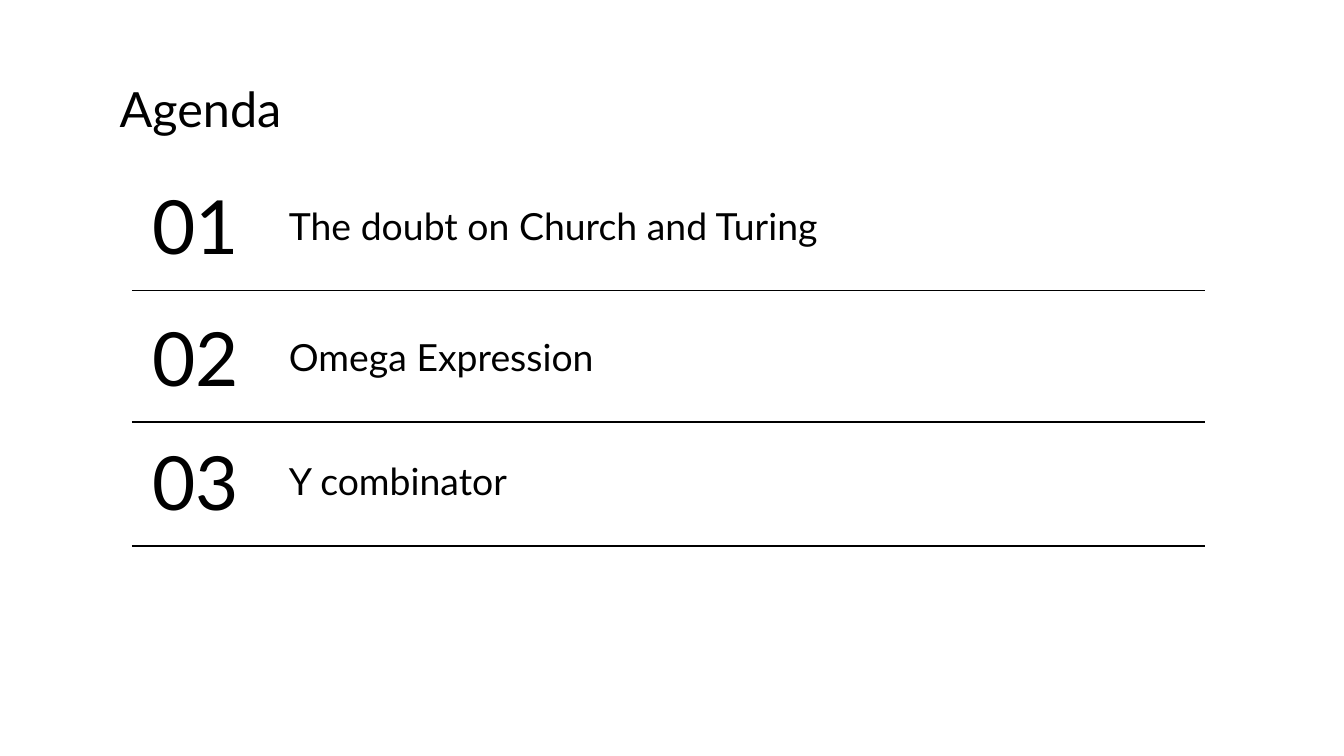
from lxml import etree
from pptx import Presentation
from pptx.dml.color import RGBColor
from pptx.enum.shapes import MSO_CONNECTOR
from pptx.enum.text import MSO_ANCHOR, PP_ALIGN
from pptx.oxml.ns import qn
from pptx.util import Cm, Pt

LEFT, CENTER = PP_ALIGN.LEFT, PP_ALIGN.CENTER
TOP, MIDDLE = MSO_ANCHOR.TOP, MSO_ANCHOR.MIDDLE
STRAIGHT = MSO_CONNECTOR.STRAIGHT

COLORS = {"background": "FFFFFF", "ink": "000000"}

# Each agenda item: top of its number box in cm, and its label
ITEMS = [
    (3.2, "The doubt on Church and Turing"),
    (5.69, "Omega Expression"),
    (8.03, "Y combinator"),
]


class AgendaPage:
    font = "Lato"
    inset = Cm(0.25)

    def __init__(self, deck):
        self.page = deck.slides.add_slide(deck.slide_layouts[6])
        fill = self.page.background.fill
        fill.solid()
        fill.fore_color.rgb = RGBColor.from_string(COLORS["background"])

    def text(self, words, left, top, width, height, size, align=LEFT, anchor=MIDDLE):
        box = self.page.shapes.add_textbox(Cm(left), Cm(top), Cm(width), Cm(height))
        frame = box.text_frame
        frame.word_wrap = True
        frame.vertical_anchor = anchor
        frame.margin_left = frame.margin_right = self.inset
        frame.margin_top = frame.margin_bottom = self.inset
        para = frame.paragraphs[0]
        para.text = words
        para.alignment = align
        para.font.name = self.font
        para.font.size = Pt(size)
        para.font.color.rgb = RGBColor.from_string(COLORS["ink"])

    def rule(self, left, right, y):
        line = self.page.shapes.add_connector(STRAIGHT, Cm(left), Cm(y), Cm(right), Cm(y))
        line.line.color.rgb = RGBColor.from_string(COLORS["ink"])
        line.line.width = Pt(0.75)
        etree.SubElement(line._element.spPr, qn("a:effectLst"))

    def item(self, number, label, top):
        self.text(f"{number:02d}", 2.62, top, 2.16, 2.11, 40, align=CENTER)
        self.text(label, 5.21, top + 0.51, 15.27, 1.09, 20)
        self.rule(2.49, 22.78, top + 2.29)


def main():
    deck = Presentation()
    deck.slide_width, deck.slide_height = Cm(25.4), Cm(14.29)
    agenda = AgendaPage(deck)

    # Heading
    agenda.text("Agenda", 2.01, 1.24, 21.41, 1.6, 26, anchor=TOP)

    # Numbered items, each closed by a rule
    for number, (top, label) in enumerate(ITEMS, start=1):
        agenda.item(number, label, top)

    deck.save("out.pptx")


if __name__ == "__main__":
    main()
